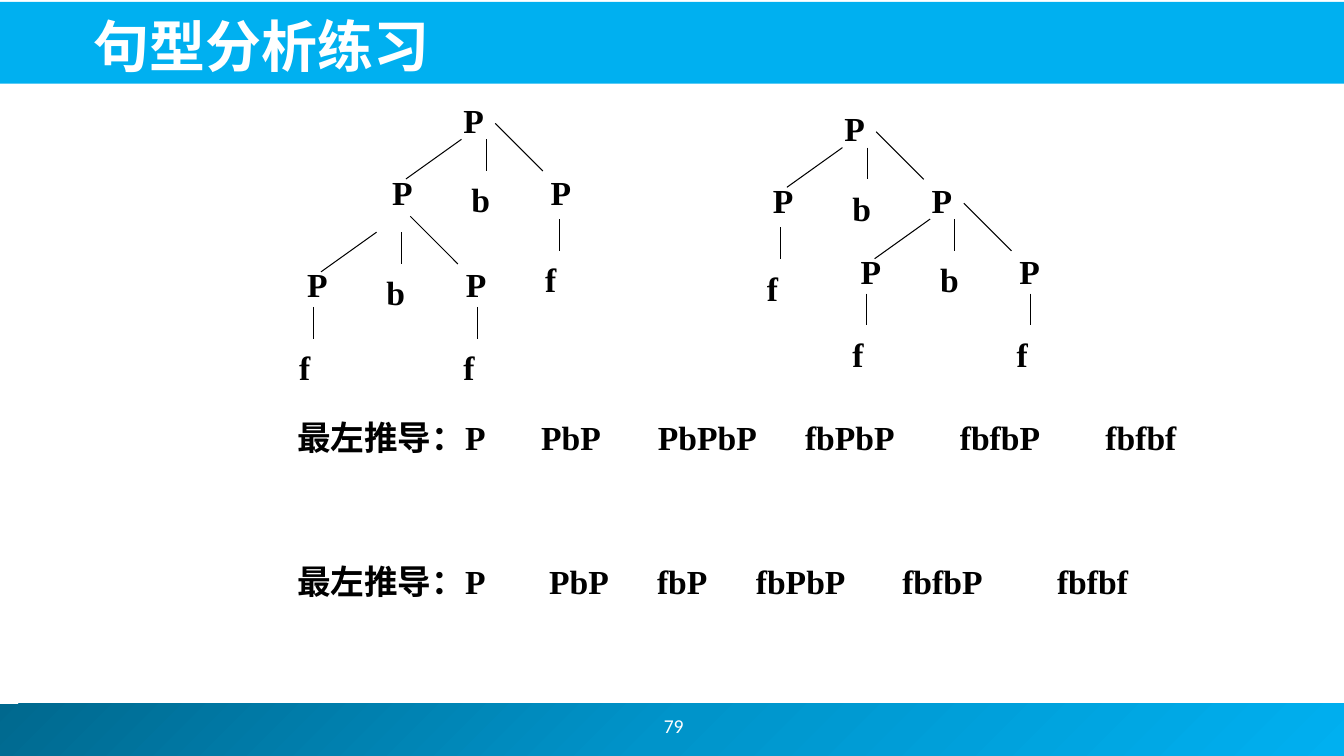
from copy import deepcopy

from lxml.etree import SubElement
from pptx import Presentation
from pptx.dml.color import RGBColor
from pptx.enum.shapes import MSO_CONNECTOR, MSO_SHAPE
from pptx.enum.text import MSO_ANCHOR, PP_ALIGN
from pptx.oxml.ns import qn
from pptx.util import Cm, Pt

SERIF = "Times New Roman"
CJK = "Noto Sans CJK JP"


def color(hex_code):
    return RGBColor.from_string(hex_code)


def add_text(text, left, top, width, height, size=24, font=SERIF, ink="000000",
             bold=True, anchor=MSO_ANCHOR.TOP, inset=0.13, tabs=()):
    box = page.shapes.add_textbox(Cm(left), Cm(top), Cm(width), Cm(height))
    frame = box.text_frame
    frame.word_wrap = True
    frame.vertical_anchor = anchor
    frame.margin_top = Cm(inset)
    para = frame.paragraphs[0]
    para.text = text
    if tabs:
        tab_list = SubElement(para._p.get_or_add_pPr(), qn("a:tabLst"))
        for stop in tabs:
            SubElement(tab_list, qn("a:tab"), pos=str(Cm(stop)), algn="l")
    para.font.size = Pt(size)
    para.font.bold = bold
    para.font.color.rgb = color(ink)
    para.font.name = font
    SubElement(para.font._element, qn("a:ea"), typeface=CJK)
    return para


deck = Presentation()
deck.slide_width, deck.slide_height = Cm(33.87), Cm(19.05)
page = deck.slides.add_slide(deck.slide_layouts[6])

# Footer and title bars
bars = []
for left, top, width, height in [(-0.13, 17.73, 34.01, 1.32), (-0.05, 0.05, 33.93, 2.06)]:
    bar = page.shapes.add_shape(MSO_SHAPE.RECTANGLE, Cm(left), Cm(top), Cm(width), Cm(height))
    bar.shadow.inherit = False
    bar.line.fill.background()
    bars.append(bar)
footer_bar, title_bar = bars
title_bar.fill.solid()
title_bar.fill.fore_color.rgb = color("00B0F0")

footer_bar.fill.gradient()
footer_bar.fill.gradient_angle = 315
first_stop = footer_bar.fill.gradient_stops[0]._gs
first_stop.addnext(deepcopy(first_stop))
shades = [(0, "00688E"), (0.5, "0094CA"), (1, "00B0F0")]
for stop, (position, shade) in zip(footer_bar.fill.gradient_stops, shades):
    stop.position = position
    stop.color.rgb = color(shade)

# Page number and title
number = add_text("79", 13.31, 17.65, 7.34, 1.27, size=14, font="Calibri", ink="FFFFFF",
                  bold=False, anchor=MSO_ANCHOR.MIDDLE)
number.alignment = PP_ALIGN.CENTER
title = add_text("句型分析练习", 2.11, 0.13, 30.63, 2.0, size=40, font=CJK, ink="FFFFFF",
                 anchor=MSO_ANCHOR.BOTTOM)
title.line_spacing = 0.9

# Parse trees: each branching is placed by its left child
nodes = []
branches = []
for x, y, has_root in [(9.63, 4.11, True), (7.49, 6.45, False),
                       (19.23, 4.32, True), (21.44, 6.12, False)]:
    if has_root:
        nodes.append(("P", x + 1.8, y - 1.8, 1.35))
    nodes += [("P", x, y, 0.84), ("b", x + 2, y + 0.2, 0.84), ("P", x + 4, y, 0.84)]
    branches += [(x + 2, y - 0.6, x + 0.6, y + 0.4),
                 (x + 2.62, y - 0.6, x + 2.62, y + 0.2),
                 (x + 2.85, y - 1, x + 4.05, y + 0.2)]

# Leaves with their stems
for x, y in [(7.29, 8.53), (11.43, 8.53), (13.49, 6.32),
             (21.23, 8.2), (25.37, 8.2), (19.08, 6.53)]:
    nodes.append(("f", x, y, 0.84))
    branches.append((x + 0.6, y - 0.8, x + 0.6, y))

for symbol, x, y, width in nodes:
    add_text(symbol, x, y, width, 1.27, inset=0.21)
for ends in branches:
    branch = page.shapes.add_connector(MSO_CONNECTOR.STRAIGHT, *[Cm(end) for end in ends])
    branch.line.color.rgb = color("000000")
    branch.line.width = Pt(0.75)
    SubElement(branch._element.spPr, qn("a:effectLst"))

# Leftmost derivations, steps set on tab stops
derivations = [
    (10.49, ["P", "PbP", "PbPbP", "fbPbP", "fbfbP", "fbfbf"], [6.15, 9.09, 12.8, 16.7, 20.37]),
    (14.12, ["P", "PbP", "fbP", "fbPbP", "fbfbP", "fbfbf"], [6.35, 9.07, 11.56, 15.25, 19.15]),
]
for top, steps, stops in derivations:
    derivation = add_text("最左推导：" + "\t".join(steps), 7.24, top, 24.08, 2.59, tabs=stops)
    derivation.line_spacing = 0.9

deck.save("out.pptx")
